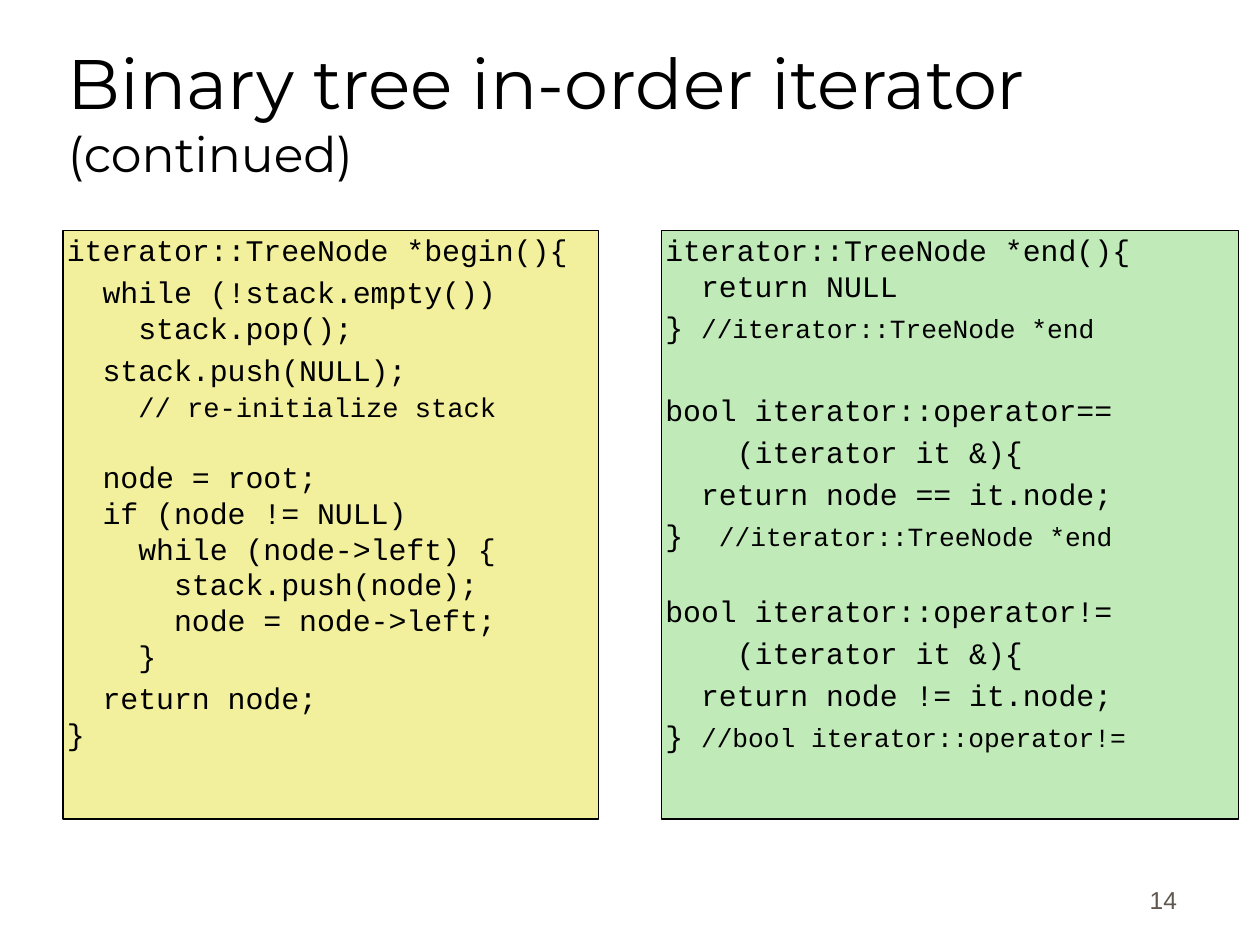
from pptx import Presentation
from pptx.util import Inches, Pt
from pptx.dml.color import RGBColor
from pptx.enum import shapes, text

BLACK = RGBColor(0, 0, 0)
GREY = RGBColor(0x5E, 0x57, 0x4E)
YELLOW = RGBColor(0xF2, 0xF0, 0x9C)
GREEN = RGBColor(0xC0, 0xEA, 0xB8)
STEP = 3.4  # usual space before a block of code, in points

# Each block: space before, code lines
BEGIN = [
    (STEP, "iterator::TreeNode *begin(){"),
    (STEP, "  while (!stack.empty())\n    stack.pop();"),
    (STEP, "  stack.push(NULL);\n    // re-initialize stack"),
    (20, "  node = root;\n  if (node != NULL)\n    while (node->left) {\n"
         "      stack.push(node);\n      node = node->left;\n    }"),
    (STEP, "  return node;\n}"),
]
END = [
    (STEP, "iterator::TreeNode *end(){\n  return NULL"),
    (STEP, "} //iterator::TreeNode *end"),
    (27, "bool iterator::operator=="),
    (STEP, "    (iterator it &){"),
    (STEP, "  return node == it.node;"),
    (STEP, "}  //iterator::TreeNode *end"),
    (23, "bool iterator::operator!="),
    (STEP, "    (iterator it &){"),
    (STEP, "  return node != it.node;"),
    (STEP, "} //bool iterator::operator!="),
]


def style(font, name, color, size=None):
    font.name = name
    font.color.rgb = color
    if size:
        font.size = Pt(size)


def add_run(para, words, size):
    run = para.add_run()
    run.text = words
    run.font.size = Pt(size)


def label(slide, box):
    """Bottom-anchored text box; returns its first paragraph."""
    frame = slide.shapes.add_textbox(*map(Inches, box)).text_frame
    frame.word_wrap = True
    frame.vertical_anchor = text.MSO_ANCHOR.BOTTOM
    return frame.paragraphs[0]


def title(slide, box):
    para = label(slide, box)
    style(para.font, "Montserrat", BLACK)
    add_run(para, "Binary tree in-order iterator ", 40)
    add_run(para, "(continued)", 28)


def number(slide, box):
    para = label(slide, box)
    para.text = "14"
    para.alignment = text.PP_ALIGN.RIGHT
    style(para.font, "Arial", GREY, 14)


def panel(slide, box, fill, blocks, size, small):
    """Code panel; comments are set in the small size."""
    rect = slide.shapes.add_shape(shapes.MSO_SHAPE.RECTANGLE, *map(Inches, box))
    rect.shadow.inherit = False
    rect.fill.solid()
    rect.fill.fore_color.rgb = fill
    rect.line.color.rgb = BLACK
    rect.line.width = Pt(0.75)
    frame = rect.text_frame
    frame.word_wrap = True
    frame.vertical_anchor = text.MSO_ANCHOR.TOP
    frame.margin_left = frame.margin_right = Inches(0.03)
    frame.margin_top = frame.margin_bottom = Inches(0.01)
    for i, (gap, code) in enumerate(blocks):
        para = frame.add_paragraph() if i else frame.paragraphs[0]
        para.alignment = text.PP_ALIGN.LEFT
        para.space_before = Pt(gap)
        style(para.font, "Courier New", BLACK, size)
        for j, line in enumerate(code.split("\n")):
            if j:
                para.add_line_break()
            head, mark, note = line.partition("//")
            add_run(para, head, size)
            if mark:
                add_run(para, mark + note, small)


deck = Presentation()
deck.slide_width, deck.slide_height = Inches(10), Inches(7.5)
page = deck.slides.add_slide(deck.slide_layouts[6])

title(page, (0.44, 0.25, 8.5, 1.25))
number(page, (7.36, 6.81, 2.08, 0.5))
panel(page, (0.5, 1.83, 4.25, 4.67), YELLOW, BEGIN, 17.1, 15.5)
panel(page, (5.25, 1.83, 4.58, 4.67), GREEN, END, 17, 15)

deck.save("out.pptx")
